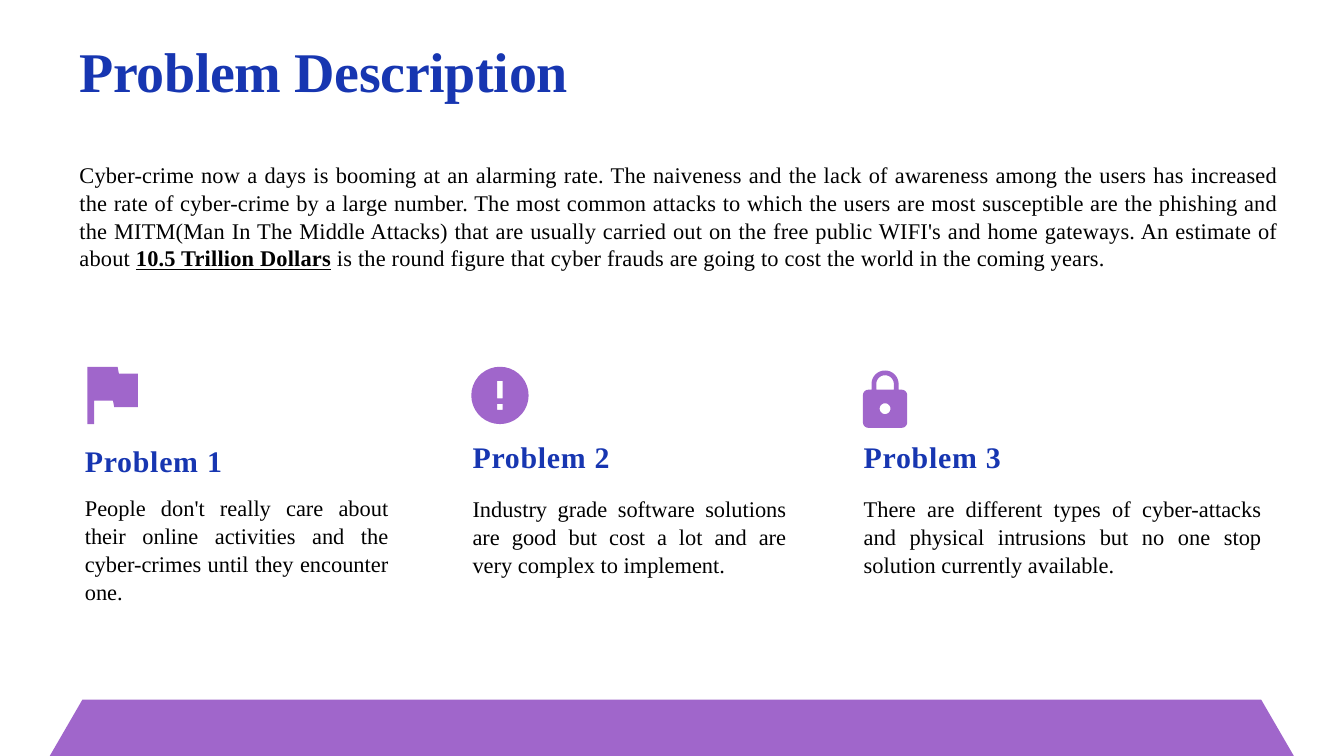
from math import cos, radians, sin

from pptx import Presentation
from pptx.dml.color import RGBColor
from pptx.enum.shapes import MSO_SHAPE
from pptx.enum.text import MSO_ANCHOR, MSO_AUTO_SIZE, PP_ALIGN
from pptx.util import Pt

TRAPEZOID = MSO_SHAPE.TRAPEZOID
TOP = MSO_ANCHOR.TOP
NO_FIT = MSO_AUTO_SIZE.NONE
LEFT, JUSTIFY = PP_ALIGN.LEFT, PP_ALIGN.JUSTIFY
TITLE_ONLY = 5

FONT = "Times New Roman"
BLUE, PURPLE, BLACK = "1736B1", "A066CB", "000000"
BODY_SIZE, HEADING_SIZE, TITLE_SIZE = 24, 32, 60
BODY_LINE = 1.035

INTRO = [
    ("Cyber-crime now a days is booming at an alarming rate. The naiveness and "
     "the lack of awareness among the users has increased the rate of cyber-crime "
     "by a large number. The most common attacks to which the users are most "
     "susceptible are the phishing and the MITM(Man In The Middle Attacks) that "
     "are usually carried out on the free public WIFI's and home gateways. "
     "An estimate of about ", False),
    ("10.5 Trillion Dollars", True),
    (" is the round figure that cyber frauds are going to cost the world in the "
     "coming years.", False),
]

# Left, top, width, height, top inset, gap under heading, heading, body
PROBLEMS = [
    (90, 447.8, 326.2, 196.6, 26, 16.9, "Problem 1",
     "People don't really care about their online activities and the "
     "cyber-crimes until they encounter one."),
    (505.4, 447.1, 337, 169.2, 23, 21.3, "Problem 2",
     "Industry grade software solutions are good but cost a lot and are very "
     "complex to implement."),
    (924.5, 447.1, 427, 169.2, 23, 21.3, "Problem 3",
     "There are different types of cyber-attacks and physical intrusions but no "
     "one stop solution currently available."),
]


def colour(value):
    return RGBColor.from_string(value)


def format_span(span, size, fill, bold=False, underline=False, spacing=0):
    font = span.font
    font.name, font.size = FONT, Pt(size)
    font.bold, font.underline = bold, underline
    font.color.rgb = colour(fill)
    span._r.get_or_add_rPr().set("spc", str(round(spacing * 100)))


def prepare_frame(box, top_inset):
    frame = box.text_frame
    frame.word_wrap = True
    frame.auto_size = NO_FIT
    frame.vertical_anchor = TOP
    frame.margin_left = Pt(0.9)
    frame.margin_right = frame.margin_bottom = 0
    frame.margin_top = Pt(top_inset)
    return frame


def format_body(para, gap):
    para.alignment = JUSTIFY
    para.space_before = Pt(gap)
    para.line_spacing = BODY_LINE


def paint(shape):
    shape.shadow.inherit = False
    shape.fill.solid()
    shape.fill.fore_color.rgb = colour(PURPLE)
    shape.line.fill.background()


def add_title(page):
    box = page.shapes.title
    box.left, box.top, box.width, box.height = Pt(84.2), Pt(33.1), Pt(1286.6), Pt(252.7)
    frame = prepare_frame(box, 6)
    frame.text = "Problem Description"
    heading = frame.paragraphs[0]
    heading.alignment = LEFT
    format_span(heading.runs[0], TITLE_SIZE, BLUE, bold=True, spacing=-0.4)

    para = frame.add_paragraph()
    format_body(para, 61)
    for text, strong in INTRO:
        span = para.add_run()
        span.text = text
        format_span(span, BODY_SIZE, BLACK, strong, strong, 0.2)


def add_problem(page, left, top, width, height, inset, gap, heading, body):
    box = page.shapes.add_textbox(Pt(left), Pt(top), Pt(width), Pt(height))
    frame = prepare_frame(box, inset)
    frame.text = heading
    format_span(frame.paragraphs[0].runs[0], HEADING_SIZE, BLUE, bold=True, spacing=0.8)
    para = frame.add_paragraph()
    para.text = body
    format_body(para, gap)
    format_span(para.runs[0], BODY_SIZE, BLACK)


def arc(x, y, radius, start=0, end=360, steps=36):
    angles = [radians(start + (end - start) * i / steps) for i in range(steps + 1)]
    return [(x + radius * cos(a), y + radius * sin(a)) for a in angles]


def rectangle(left, top, right, bottom):
    return [(left, top), (right, top), (right, bottom), (left, bottom)]


def rounded_rectangle(left, top, right, bottom, radius):
    corners = [(right - radius, bottom - radius), (left + radius, bottom - radius),
               (left + radius, top + radius), (right - radius, top + radius)]
    return [point for i, (x, y) in enumerate(corners)
            for point in arc(x, y, radius, 90 * i, 90 * i + 90, 6)]


def add_icon(page, *contours):
    """Draw one outline; contours lying inside another become holes."""
    builder = None
    for contour in contours:
        points = [(Pt(x), Pt(y)) for x, y in contour]
        if builder is None:
            builder = page.shapes.build_freeform(*points[0], scale=1.0)
        else:
            builder.move_to(*points[0])
        builder.add_line_segments(points[1:], close=True)
    paint(builder.convert_to_shape())


def add_flag(page):
    add_icon(page, [(93.6, 393.1), (126, 393.1), (127.4, 400.3), (147.6, 400.3),
                    (147.6, 436.3), (122.4, 436.3), (121, 429.1), (100.8, 429.1),
                    (100.8, 454.3), (93.6, 454.3)])


def add_alert(page):
    x = 535.7
    add_icon(page, arc(x, 423.7, 30.7),
             rectangle(x - 3, 408.2, x + 3, 427),
             rectangle(x - 3, 432.7, x + 3, 439.2))


def add_lock(page):
    x, bend, top = 948.3, 411.5, 417.6
    outer, inner = 14.5, 9.4
    shackle = ([(x - outer, top)] + arc(x, bend, outer, 180, 360)
               + [(x + outer, top), (x + inner, top)]
               + arc(x, bend, inner, 360, 180) + [(x - inner, top)])
    add_icon(page, shackle,
             rounded_rectangle(x - 23.7, top, x + 23.7, 458.4, 5.8),
             arc(x, 437.9, 5.8))


def add_footer(page):
    band = page.shapes.add_shape(TRAPEZOID, Pt(53.3), Pt(749.5), Pt(1333), Pt(60.5))
    band.adjustments[0] = 0.58
    paint(band)


def main():
    deck = Presentation()
    deck.slide_width, deck.slide_height = Pt(1440), Pt(810)
    page = deck.slides.add_slide(deck.slide_layouts[TITLE_ONLY])

    # Title with introduction
    add_title(page)

    # Three problems and their icons
    for problem in PROBLEMS:
        add_problem(page, *problem)
    add_flag(page)
    add_alert(page)
    add_lock(page)

    # Band along the bottom edge
    add_footer(page)
    deck.save("out.pptx")


if __name__ == "__main__":
    main()
